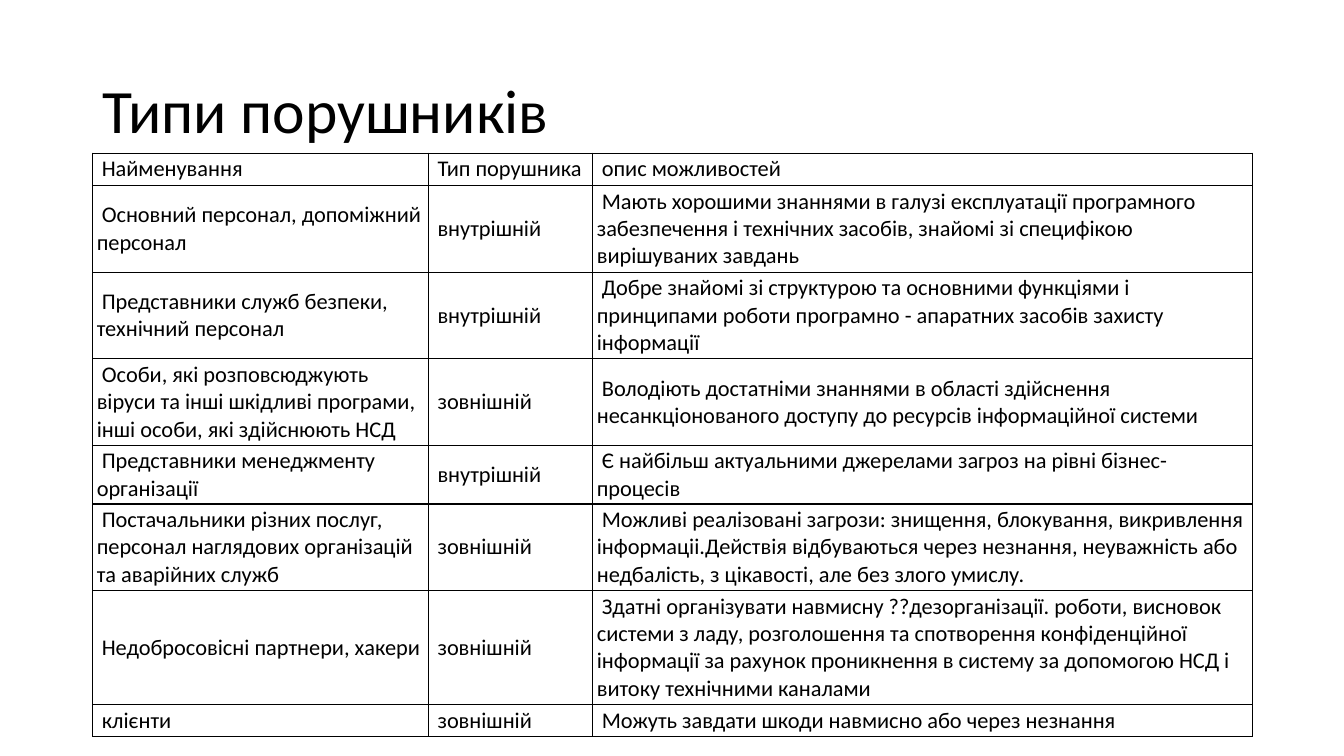
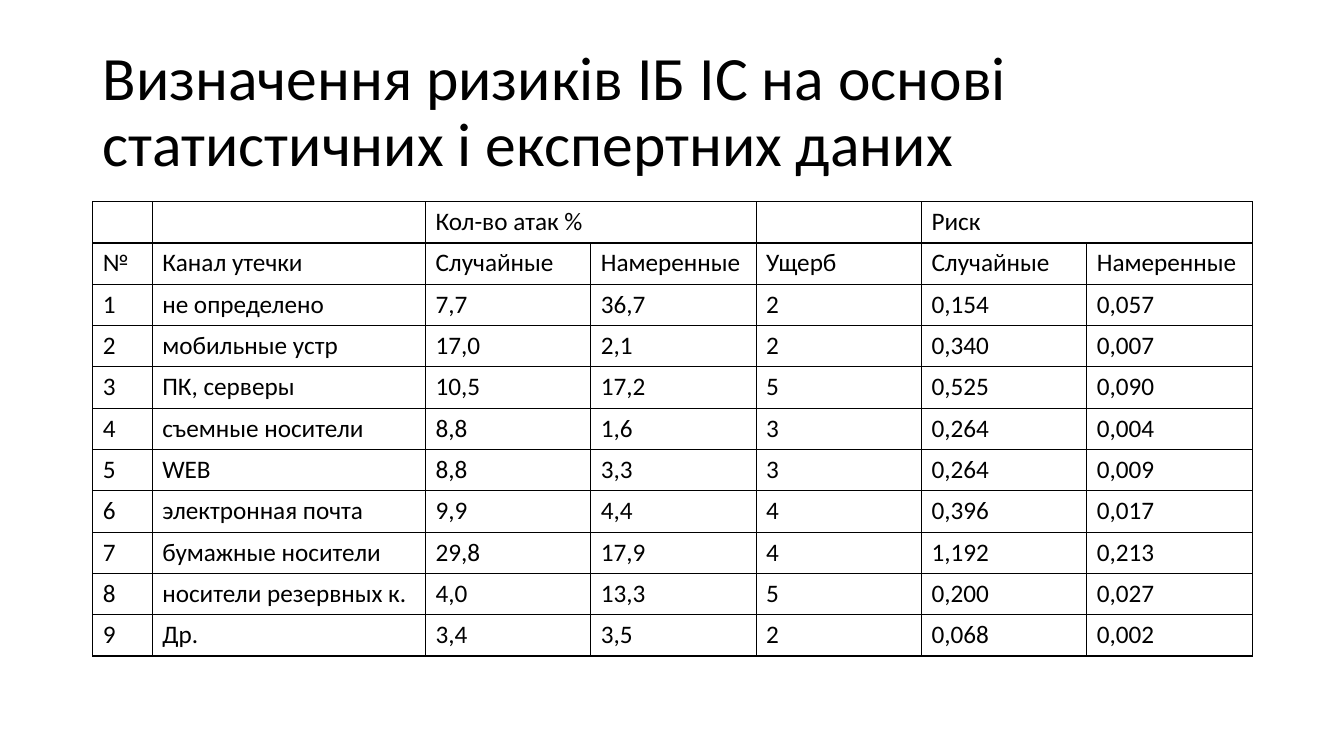
"""Two slides on information security: intruder types and leak-channel risks."""
from lxml.etree import SubElement
from pptx import Presentation
from pptx.dml.color import RGBColor
from pptx.enum.text import MSO_ANCHOR
from pptx.oxml import parse_xml
from pptx.oxml.ns import nsdecls
from pptx.util import Pt

PX = 9144
FONT = "Calibri"
COLORS = {"text": "000000", "border": "000000", "background": "FFFFFF"}
LEFT, WIDTH = 92, 1150


def format_text(tf, size):
    for p in tf.paragraphs:
        for r in p.runs:
            r.font.name = FONT
            r.font.size = Pt(size)
            r.font.color.rgb = RGBColor.from_string(COLORS["text"])


def add_table_slide(title, rows, top, col_widths, row_heights, size):
    s = prs.slides.add_slide(prs.slide_layouts[6])
    s.background.fill.solid()
    s.background.fill.fore_color.rgb = RGBColor.from_string(COLORS["background"])
    tf = s.shapes.add_textbox(LEFT * PX, 40 * PX, WIDTH * PX, 145 * PX).text_frame
    tf.word_wrap = True
    tf.vertical_anchor = MSO_ANCHOR.MIDDLE
    tf.text = title
    tf.paragraphs[0].line_spacing = 0.9
    format_text(tf, 44)

    table = s.shapes.add_table(len(rows), len(col_widths), LEFT * PX, top * PX,
                               WIDTH * PX, sum(row_heights) * PX).table
    table.first_row = table.horz_banding = False
    for col, width in zip(table.columns, col_widths):
        col.width = width * PX
    for row, height, texts in zip(table.rows, row_heights, rows):
        row.height = height * PX
        for cell, text in zip(row.cells, texts):
            cell.text = text
            format_text(cell.text_frame, size)
            if not text:
                cell.text_frame.paragraphs[0].font.size = Pt(size)
            cell.fill.background()
            tc_pr = cell._tc.get_or_add_tcPr()
            for i, side in enumerate("LRTB"):
                ln = parse_xml(f'<a:ln{side} {nsdecls("a")} w="12700"/>')
                fill = SubElement(ln, f"{A}solidFill")
                SubElement(fill, f"{A}srgbClr", val=COLORS["border"])
                tc_pr.insert(i, ln)
    return table


A = "{http://schemas.openxmlformats.org/drawingml/2006/main}"
prs = Presentation()
prs.slide_width, prs.slide_height = 1333 * PX, 750 * PX

intruders = [
    ("Найменування", "Тип порушника", "опис можливостей"),
    ("Основний персонал, допоміжний персонал", "внутрішній",
     "Мають хорошими знаннями в галузі експлуатації програмного забезпечення "
     "і технічних засобів, знайомі зі специфікою вирішуваних завдань"),
    ("Представники служб безпеки, технічний персонал", "внутрішній",
     "Добре знайомі зі структурою та основними функціями і принципами роботи "
     "програмно - апаратних засобів захисту інформації"),
    ("Особи, які розповсюджують віруси та інші шкідливі програми, інші особи, "
     "які здійснюють НСД", "зовнішній",
     "Володіють достатніми знаннями в області здійснення несанкціонованого "
     "доступу до ресурсів інформаційної системи"),
    ("Представники менеджменту організації", "внутрішній",
     "Є найбільш актуальними джерелами загроз на рівні бізнес-процесів"),
    ("Постачальники різних послуг, персонал наглядових організацій та "
     "аварійних служб", "зовнішній",
     "Можливі реалізовані загрози: знищення, блокування, викривлення "
     "інформаціі.Действія відбуваються через незнання, неуважність або "
     "недбалість, з цікавості, але без злого умислу."),
    ("Недобросовісні партнери, хакери", "зовнішній",
     "Здатні організувати навмисну ??дезорганізації. роботи, висновок системи "
     "з ладу, розголошення та спотворення конфіденційної інформації за рахунок "
     "проникнення в систему за допомогою НСД і витоку технічними каналами"),
    ("клієнти", "зовнішній", "Можуть завдати шкоди навмисно або через незнання"),
]
table = add_table_slide("Типи порушників", intruders, 152, [333, 163, 654],
                        [32, 86, 86, 86, 58, 86, 113, 32], 16)
for cell in table.iter_cells():
    cell.vertical_anchor = MSO_ANCHOR.MIDDLE
    cell.margin_left = cell.margin_right = 4 * PX
    cell.margin_top = cell.margin_bottom = 2 * PX
    cell.text_frame.paragraphs[0]._p.get_or_add_pPr().set("indent", str(5 * PX))

risks = [
    ("", "", "Кол-во атак %", "", "", "Риск", ""),
    ("№", "Канал утечки", "Случайные", "Намеренные", "Ущерб", "Случайные", "Намеренные"),
    ("1", "не определено", "7,7", "36,7", "2", "0,154", "0,057"),
    ("2", "мобильные устр", "17,0", "2,1", "2", "0,340", "0,007"),
    ("3", "ПК, серверы", "10,5", "17,2", "5", "0,525", "0,090"),
    ("4", "съемные носители", "8,8", "1,6", "3", "0,264", "0,004"),
    ("5", "WEB", "8,8", "3,3", "3", "0,264", "0,009"),
    ("6", "электронная почта", "9,9", "4,4", "4", "0,396", "0,017"),
    ("7", "бумажные носители", "29,8", "17,9", "4", "1,192", "0,213"),
    ("8", "носители резервных к.", "4,0", "13,3", "5", "0,200", "0,027"),
    ("9", "Др.", "3,4", "3,5", "2", "0,068", "0,002"),
]
table = add_table_slide("Визначення ризиків ІБ ІС на основі статистичних і експертних даних",
                        risks, 200, [59, 271] + [164] * 5, [41] * len(risks), 18)
for col in (2, 5):
    table.cell(0, col).merge(table.cell(0, col + 1))

prs.save("out.pptx")
